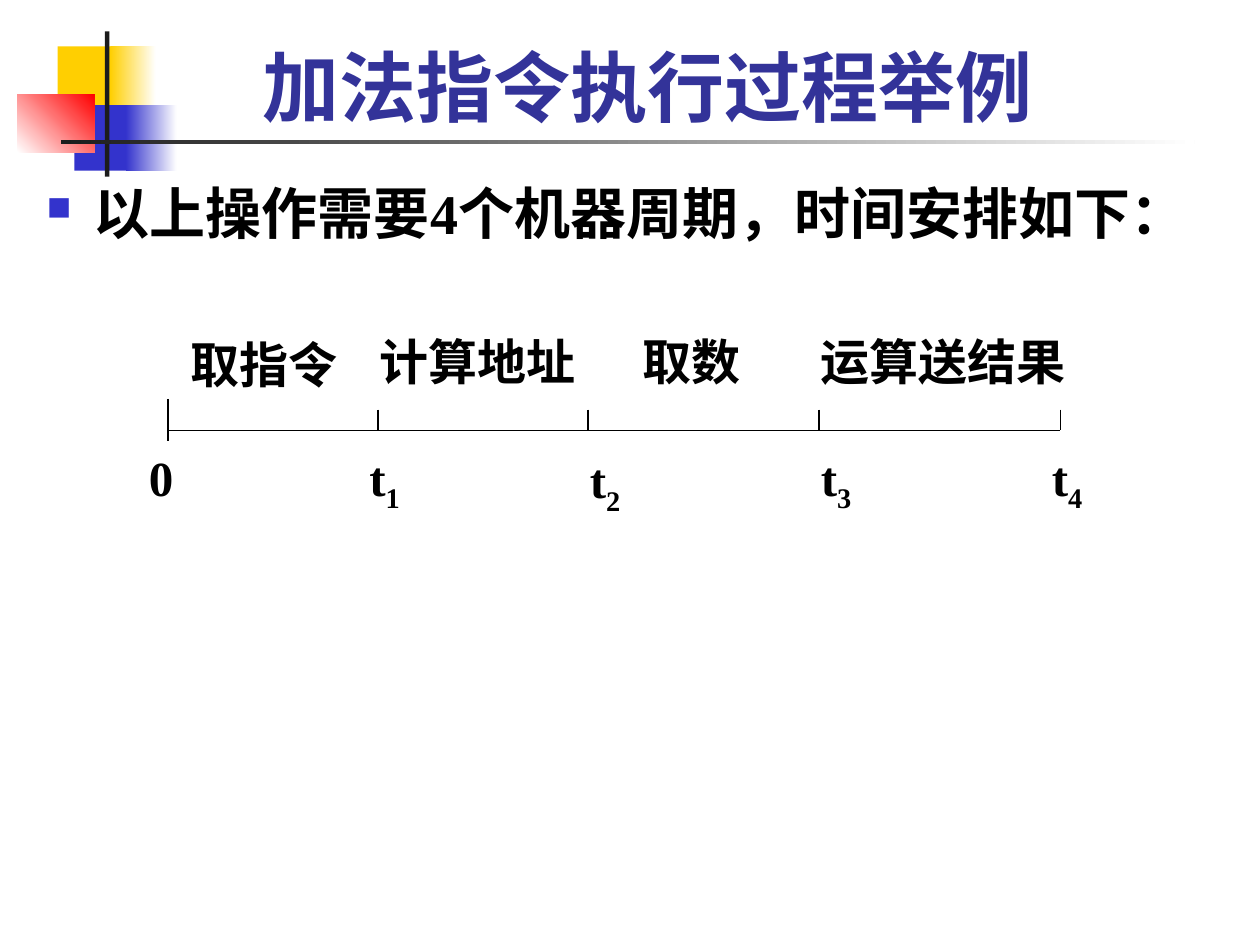
from dataclasses import dataclass
from typing import NamedTuple

from lxml import etree
from pptx import Presentation
from pptx.dml.color import RGBColor
from pptx.enum.shapes import MSO_CONNECTOR, MSO_SHAPE
from pptx.enum.text import MSO_ANCHOR, PP_ALIGN
from pptx.oxml.ns import qn
from pptx.slide import Slide
from pptx.text.text import _Paragraph
from pptx.util import Pt

RECTANGLE = MSO_SHAPE.RECTANGLE
STRAIGHT = MSO_CONNECTOR.STRAIGHT
LEFT, CENTER = PP_ALIGN.LEFT, PP_ALIGN.CENTER
TOP, BOTTOM = MSO_ANCHOR.TOP, MSO_ANCHOR.BOTTOM


@dataclass(frozen=True)
class Theme:
    title: str = "333399"
    ink: str = "000000"
    rule: str = "1C1C1C"
    yellow: str = "FFCF01"
    blue: str = "3333CC"
    red: str = "FF0000"
    white: str = "FFFFFF"
    chinese_font: str = "Roboto"
    latin_font: str = "Times New Roman"
    title_size: float = 44
    body_size: float = 32
    label_size: float = 28
    line_width: float = 0.75


class Box(NamedTuple):
    left: float
    top: float
    width: float
    height: float


class Block(NamedTuple):
    box: Box
    colors: tuple[str, ...]
    angle: float = 0


class Label(NamedTuple):
    box: Box
    text: str
    subscript: str = ""
    font: str = "Times New Roman"


class Tick(NamedTuple):
    x: float
    top: float
    bottom: float


THEME = Theme()
AXIS_Y = 246
BLOCKS = (
    Block(Box(33, 26.5, 34.5, 37.5), (THEME.yellow,)),
    Block(Box(63, 26.5, 26, 37.5), (THEME.yellow, THEME.white)),
    Block(Box(42.5, 60, 33, 37.5), (THEME.blue,)),
    Block(Box(72, 60, 29, 37.5), (THEME.blue, THEME.white)),
    Block(Box(10, 54, 44, 33), (THEME.white, THEME.red), 45),
    Block(Box(60, 18, 2.5, 83), (THEME.rule,)),
    Block(Box(34.75, 80, 648, 2.5), (THEME.rule, THEME.white)),
)
TICKS = (
    Tick(96, 228, 252),
    *(Tick(x, 234, AXIS_Y) for x in (216, 336, 468, 606)),
)
TIMES = (
    Label(Box(78, 252, 36, 41), "0"),
    Label(Box(204, 252, 36, 45), "t", "1"),
    Label(Box(330, 253.5, 36, 45), "t", "2"),
    Label(Box(462, 252, 36, 45), "t", "3"),
    Label(Box(594, 252, 36, 45), "t", "4"),
)
STAGES = (
    Label(Box(102, 187.5, 132, 41), "取指令", font=THEME.chinese_font),
    Label(Box(210, 186, 132, 41), "计算地址", font=THEME.chinese_font),
    Label(Box(360, 186, 90, 41), "取数", font=THEME.chinese_font),
    Label(Box(462, 186, 174, 41), "运算送结果", font=THEME.chinese_font),
)


def rgb(color: str) -> RGBColor:
    """Turn a hexadecimal colour into an RGBColor."""
    return RGBColor.from_string(color)


def draw_block(slide: Slide, block: Block) -> None:
    """Draw a borderless rectangle with a solid or two-colour fill."""
    shape = slide.shapes.add_shape(RECTANGLE, *map(Pt, block.box))
    shape.shadow.inherit = False
    shape.line.fill.background()
    if len(block.colors) == 1:
        shape.fill.solid()
        shape.fill.fore_color.rgb = rgb(block.colors[0])
        return
    shape.fill.gradient()
    shape.fill.gradient_angle = block.angle
    for stop, color in zip(shape.fill.gradient_stops, block.colors):
        stop.color.rgb = rgb(color)


def draw_line(slide: Slide, x1: float, y1: float, x2: float, y2: float) -> None:
    """Draw a thin straight line between two points."""
    line = slide.shapes.add_connector(STRAIGHT, Pt(x1), Pt(y1), Pt(x2), Pt(y2))
    line.line.color.rgb = rgb(THEME.ink)
    line.line.width = Pt(THEME.line_width)
    etree.SubElement(line._element.spPr, qn("a:effectLst"))


def add_bullet(paragraph: _Paragraph) -> None:
    """Give a paragraph a small blue square bullet with a hanging indent."""
    properties = paragraph._p.get_or_add_pPr()
    properties.set("marL", str(Pt(27)))
    properties.set("indent", str(Pt(-27)))
    color = etree.SubElement(properties, qn("a:buClr"))
    etree.SubElement(color, qn("a:srgbClr"), val=THEME.blue)
    etree.SubElement(properties, qn("a:buSzPct"), val="60000")
    etree.SubElement(properties, qn("a:buChar"), char="■")


def draw_text(slide: Slide, label: Label, size: float, color: str = THEME.ink,
              alignment: PP_ALIGN = LEFT, anchor: MSO_ANCHOR = TOP,
              bullet: bool = False) -> None:
    """Draw a bold line of text with an optional subscript or bullet."""
    frame = slide.shapes.add_textbox(*map(Pt, label.box)).text_frame
    frame.word_wrap = True
    frame.vertical_anchor = anchor
    paragraph = frame.paragraphs[0]
    paragraph.alignment = alignment
    if bullet:
        add_bullet(paragraph)
    paragraph.add_run().text = label.text
    if label.subscript:
        run = paragraph.add_run()
        run.text = label.subscript
        run._r.get_or_add_rPr().set("baseline", "-25000")
    font = paragraph.font
    font.name = label.font
    font.size = Pt(size)
    font.bold = True
    font.color.rgb = rgb(color)


def main() -> None:
    """Build the slide and save the presentation."""
    presentation = Presentation()
    presentation.slide_width, presentation.slide_height = Pt(720), Pt(540)
    slide = presentation.slides.add_slide(presentation.slide_layouts[6])
    for block in BLOCKS:
        draw_block(slide, block)
    title = Label(Box(36, 12, 668, 67), "加法指令执行过程举例", font=THEME.chinese_font)
    draw_text(slide, title, THEME.title_size, THEME.title, CENTER, BOTTOM)
    body = Label(Box(19.5, 98.5, 685.5, 51), "以上操作需要4个机器周期，时间安排如下：",
                 font=THEME.latin_font)
    draw_text(slide, body, THEME.body_size, bullet=True)
    draw_line(slide, TICKS[0].x, AXIS_Y, TICKS[-1].x, AXIS_Y)
    for tick in TICKS:
        draw_line(slide, tick.x, tick.top, tick.x, tick.bottom)
    for label in TIMES + STAGES:
        draw_text(slide, label, THEME.label_size)
    presentation.save("out.pptx")


if __name__ == "__main__":
    main()
